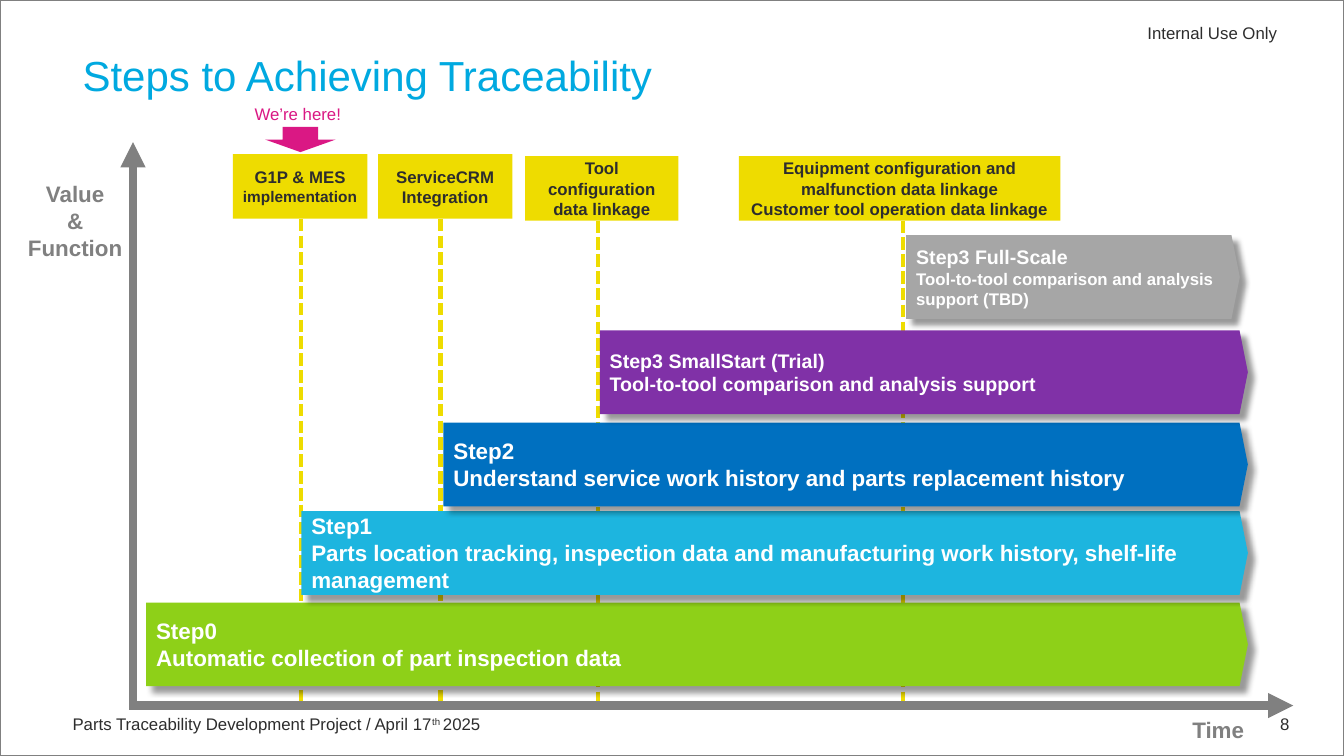
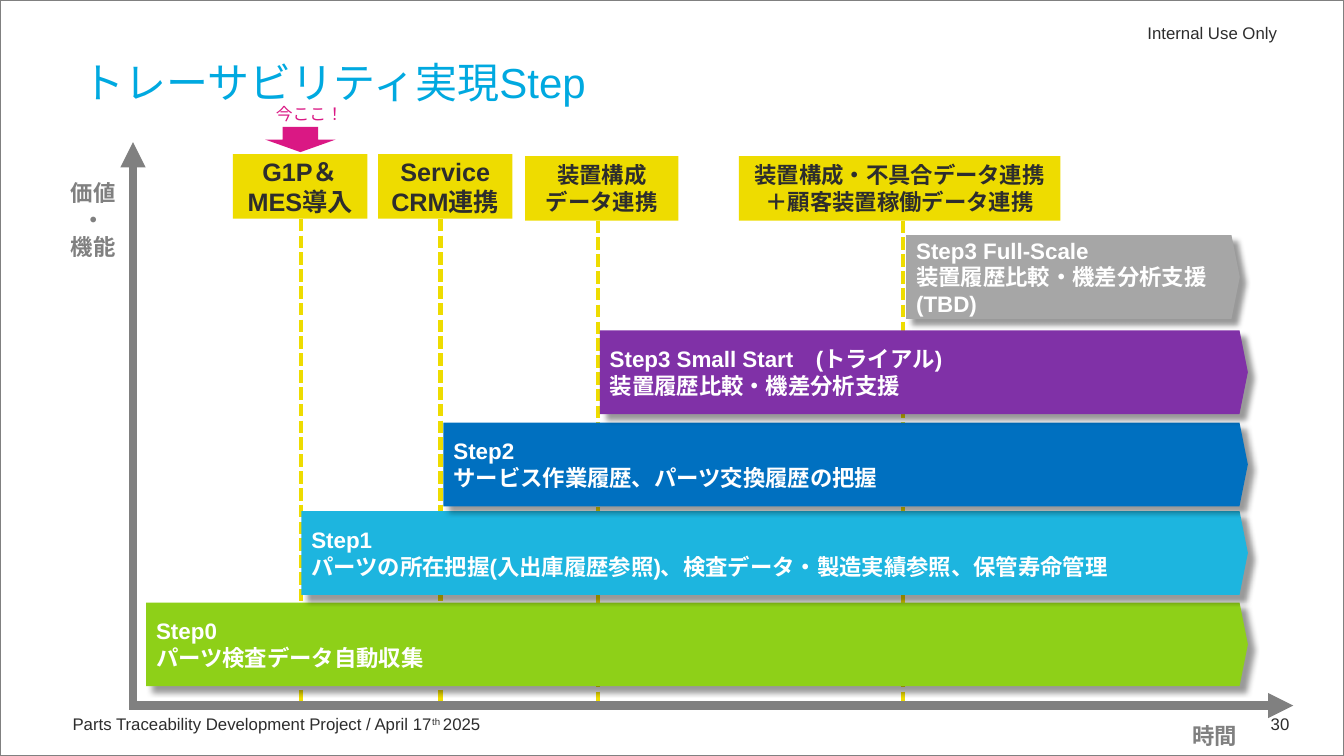
from dataclasses import dataclass

from lxml import etree
from pptx import Presentation
from pptx.dml.color import RGBColor
from pptx.enum.dml import MSO_LINE
from pptx.enum.lang import MSO_LANGUAGE_ID
from pptx.enum.shapes import MSO_CONNECTOR, MSO_SHAPE
from pptx.enum.text import MSO_ANCHOR, MSO_AUTO_SIZE, PP_ALIGN
from pptx.oxml.ns import qn
from pptx.util import Inches, Pt

LEFT, CENTER, RIGHT = PP_ALIGN.LEFT, PP_ALIGN.CENTER, PP_ALIGN.RIGHT
TOP, MIDDLE = MSO_ANCHOR.TOP, MSO_ANCHOR.MIDDLE
RECTANGLE, PENTAGON, DOWN_ARROW = MSO_SHAPE.RECTANGLE, MSO_SHAPE.PENTAGON, MSO_SHAPE.DOWN_ARROW
STRAIGHT = MSO_CONNECTOR.STRAIGHT
SQUARE_DOT = MSO_LINE.SQUARE_DOT
ENGLISH, JAPANESE = MSO_LANGUAGE_ID.ENGLISH_US, MSO_LANGUAGE_ID.JAPANESE


@dataclass(frozen=True)
class Theme:
    font: str = "Arial"
    title: str = "00A9E0"
    ink: str = "2D2D2D"
    white: str = "FFFFFF"
    axis: str = "808080"
    milestone: str = "EEDC00"
    marker: str = "DA1884"
    title_size: int = 30
    large: int = 18
    body: int = 16
    medium: int = 14
    small: int = 12
    tiny: int = 11


THEME = Theme()

presentation = Presentation()
presentation.slide_width, presentation.slide_height = Inches(13.33), Inches(7.5)

# Every length below counts columns and rows of a 100 by 100 grid.
COLUMN = presentation.slide_width / 100
ROW = presentation.slide_height / 100


def add_block(slide, box, fill=None, preset=None):
    """Add a preset shape, or a text box without a preset, on grid cells."""
    left, top, width, height = box
    frame = [int(left * COLUMN), int(top * ROW), int(width * COLUMN), int(height * ROW)]
    if preset is None:
        return slide.shapes.add_textbox(*frame)
    shape = slide.shapes.add_shape(preset, *frame)
    shape.shadow.inherit = False
    shape.line.fill.background()
    if fill:
        shape.fill.solid()
        shape.fill.fore_color.rgb = RGBColor.from_string(fill)
    else:
        shape.fill.background()
    return shape


def write(shape, paragraphs, size, colour, bold=False, align=LEFT, anchor=TOP,
          wrap=True, language=ENGLISH):
    """Fill a shape with paragraphs, each a list of (text, size or None, baseline) runs or strings."""
    text_frame = shape.text_frame
    text_frame.auto_size = MSO_AUTO_SIZE.NONE
    text_frame.word_wrap = wrap
    text_frame.vertical_anchor = anchor
    for index, runs in enumerate(paragraphs):
        paragraph = text_frame.add_paragraph() if index else text_frame.paragraphs[0]
        paragraph.alignment = align
        for item in [runs] if isinstance(runs, str) else runs:
            text, run_size, baseline = (item, None, 0) if isinstance(item, str) else item
            run = paragraph.add_run()
            run.text = text
            run.font.size = Pt(run_size or size)
            run.font.bold = bold
            run.font.name = THEME.font
            run.font.language_id = language
            run.font.color.rgb = RGBColor.from_string(colour)
            properties = run._r.get_or_add_rPr()
            etree.SubElement(properties, qn("a:ea"), typeface=THEME.font)
            if baseline:
                properties.set("baseline", str(baseline * 1000))


# Bars: left, top, right, colour
BAR_HEIGHT = 11.07
BARS = [
    (10.88, 79.7, 92.85, "8ED018"),
    (22.43, 67.6, 92.85, "1DB5DF"),
    (33, 55.9, 92.85, "0070C0"),
    (44.63, 43.7, 92.85, "8031A7"),
    (67.43, 31.1, 92.25, "A6A6A6"),
]
# Milestones: left, top, width, column of the dashed line
MILESTONE_HEIGHT = 8.53
MILESTONES = [
    (17.33, 20.4, 10, 22.38),
    (28.13, 20.4, 10, 32.78),
    (39.08, 20.65, 11.4, 44.48),
    (54.98, 20.65, 23.93, 67.2),
]
TIME_ROW = 93.33
# Lines: start column, start row, end column, end row, colour, weight, is an axis
LINES = [(column, top + MILESTONE_HEIGHT, column, TIME_ROW, THEME.milestone, 3, False)
         for left, top, width, column in MILESTONES]
LINES += [
    (9.6, TIME_ROW, 96.23, TIME_ROW, THEME.axis, 6, True),
    (9.9, 93.87, 9.9, 18.8, THEME.axis, 6, True),
]

SLIDES = [
    {
        "language": ENGLISH,
        "number": "8",
        "title": ("Steps to Achieving Traceability", 5.87),
        "bars": [
            (THEME.body, ["Step0", "Automatic collection of part inspection data"]),
            (THEME.body, ["Step1", "Parts location tracking, inspection data and manufacturing "
                          "work history, shelf-life management"]),
            (THEME.body, ["Step2", "Understand service work history and parts replacement history"]),
            (THEME.medium, ["Step3 SmallStart (Trial)",
                            "Tool-to-tool comparison and analysis support"]),
            (THEME.medium, ["Step3 Full-Scale",
                            [("Tool-to-tool comparison and analysis support (TBD)",
                              THEME.small, 0)]]),
        ],
        "milestones": [
            (THEME.small, [["G1P & MES ", ("implementation", THEME.tiny, 0)]]),
            (THEME.small, ["ServiceCRM Integration"]),
            (THEME.small, ["Tool configuration data linkage"]),
            (THEME.small, ["Equipment configuration and malfunction data linkage",
                           "Customer tool operation data linkage"]),
        ],
        "time": ("Time", (87.98, 94.13, 5.4, 4.93)),
        "value": (["Value", "&", "Function"], (1.28, 23.2, 8.63, 12.13)),
        "here": ("We’re here!", (18, 13.07, 8.33, 4)),
    },
    {
        "language": JAPANESE,
        "number": "30",
        "title": ("トレーサビリティ実現Step", 6.8),
        "bars": [
            (THEME.body, ["Step0", "パーツ検査データ自動収集"]),
            (THEME.body, ["Step1", "パーツの所在把握(入出庫履歴参照)、検査データ・製造実績参照、保管寿命管理"]),
            (THEME.body, ["Step2", "サービス作業履歴、パーツ交換履歴の把握"]),
            (THEME.body, ["Step3 Small Start　(トライアル)", "装置履歴比較・機差分析支援"]),
            (THEME.body, ["Step3 Full-Scale", "装置履歴比較・機差分析支援", "(TBD)"]),
        ],
        "milestones": [
            (THEME.large, ["G1P＆MES導入"]),
            (THEME.large, ["Service CRM連携"]),
            (THEME.body, ["装置構成データ連携"]),
            (THEME.body, ["装置構成・不具合データ連携＋顧客装置稼働データ連携"]),
        ],
        "time": ("時間", (87.98, 94.8, 4.88, 4.93)),
        "value": (["価値", "・", "機能"], (4.5, 23.07, 4.88, 12.13)),
        "here": ("今ここ！", (19.73, 13.07, 6.6, 4)),
    },
]

layout = presentation.slide_layouts.get_by_name("Title Only")
slides = [presentation.slides.add_slide(layout) for _ in SLIDES]

# The border, footer and classification belong to the layout, in place of its own footers.
for placeholder in list(layout.placeholders)[1:]:
    layout.shapes.element.remove(placeholder.element)
border = add_block(slides[0], (0, 0, 100, 100), preset=RECTANGLE)
border.line.color.rgb = RGBColor.from_string(THEME.axis)
border.line.width = Pt(1)
footer = add_block(slides[0], (5.4, 94.13, 41.03, 3.47))
classification = add_block(slides[0], (70.8, 2.67, 24.38, 3.47))
footer_runs = ["Parts Traceability Development Project / April 17", ("th ", None, 30), "2025"]
for shape, runs, align in [(footer, footer_runs, LEFT),
                           (classification, "Internal Use Only", RIGHT)]:
    write(shape, [runs], THEME.small, THEME.ink, align=align, anchor=MIDDLE)
    text_frame = shape.text_frame
    text_frame.margin_left = text_frame.margin_top = 0
    text_frame.margin_right, text_frame.margin_bottom = Inches(0.02), Inches(0.01)
for shape in (border, footer, classification):
    layout.shapes.element.append(shape.element)

for slide, content in zip(slides, SLIDES):
    language = content["language"]

    title = slide.shapes.title
    title_text, title_top = content["title"]
    title.left, title.top = int(5.4 * COLUMN), int(title_top * ROW)
    title.width, title.height = int(89.55 * COLUMN), int(7.73 * ROW)
    write(title, [title_text], THEME.title_size, THEME.title, language=language)

    for start_column, start_row, end_column, end_row, colour, weight, is_axis in LINES:
        connector = slide.shapes.add_connector(
            STRAIGHT, int(start_column * COLUMN), int(start_row * ROW),
            int(end_column * COLUMN), int(end_row * ROW))
        connector.line.color.rgb = RGBColor.from_string(colour)
        connector.line.width = Pt(weight)
        if is_axis:
            etree.SubElement(connector.line._get_or_add_ln(), qn("a:tailEnd"), type="triangle")
        else:
            connector.line.dash_style = SQUARE_DOT
        etree.SubElement(connector.element.spPr, qn("a:effectLst"))

    # Upper bars go first in depth, so each shadow falls behind the bar below it.
    for (left, top, right, colour), (size, paragraphs) in zip(BARS, content["bars"]):
        bar = add_block(slide, (left, top, right - left, BAR_HEIGHT), colour, PENTAGON)
        bar.adjustments[0] = 0.1
        effects = bar.element.spPr.find(qn("a:effectLst"))
        shadow = etree.SubElement(effects, qn("a:outerShdw"), blurRad=str(Pt(4)),
                                  dist=str(Pt(6)), dir="2700000", algn="tl", rotWithShape="0")
        shadow_colour = etree.SubElement(shadow, qn("a:srgbClr"), val="000000")
        etree.SubElement(shadow_colour, qn("a:alpha"), val="40000")
        write(bar, paragraphs, size, THEME.white, bold=True, anchor=MIDDLE, language=language)

    for (left, top, width, _), (size, paragraphs) in zip(MILESTONES, content["milestones"]):
        milestone = add_block(slide, (left, top, width, MILESTONE_HEIGHT),
                              THEME.milestone, RECTANGLE)
        write(milestone, paragraphs, size, THEME.ink, bold=True, align=CENTER,
              anchor=MIDDLE, language=language)

    time_text, time_box = content["time"]
    write(add_block(slide, time_box, THEME.white, RECTANGLE), [time_text], THEME.body,
          THEME.axis, bold=True, wrap=False, language=language)
    value_lines, value_box = content["value"]
    write(add_block(slide, value_box), value_lines, THEME.body, THEME.axis, bold=True,
          align=CENTER, wrap=False, language=language)

    add_block(slide, (19.73, 16.8, 5.25, 3.33), THEME.marker, DOWN_ARROW)
    here_text, here_box = content["here"]
    write(add_block(slide, here_box), [here_text], THEME.small, THEME.marker,
          align=CENTER, wrap=False, language=language)

    write(add_block(slide, (92.55, 93.73, 4.13, 3.87)), [content["number"]],
          THEME.small, THEME.ink, align=RIGHT)

presentation.save("out.pptx")
